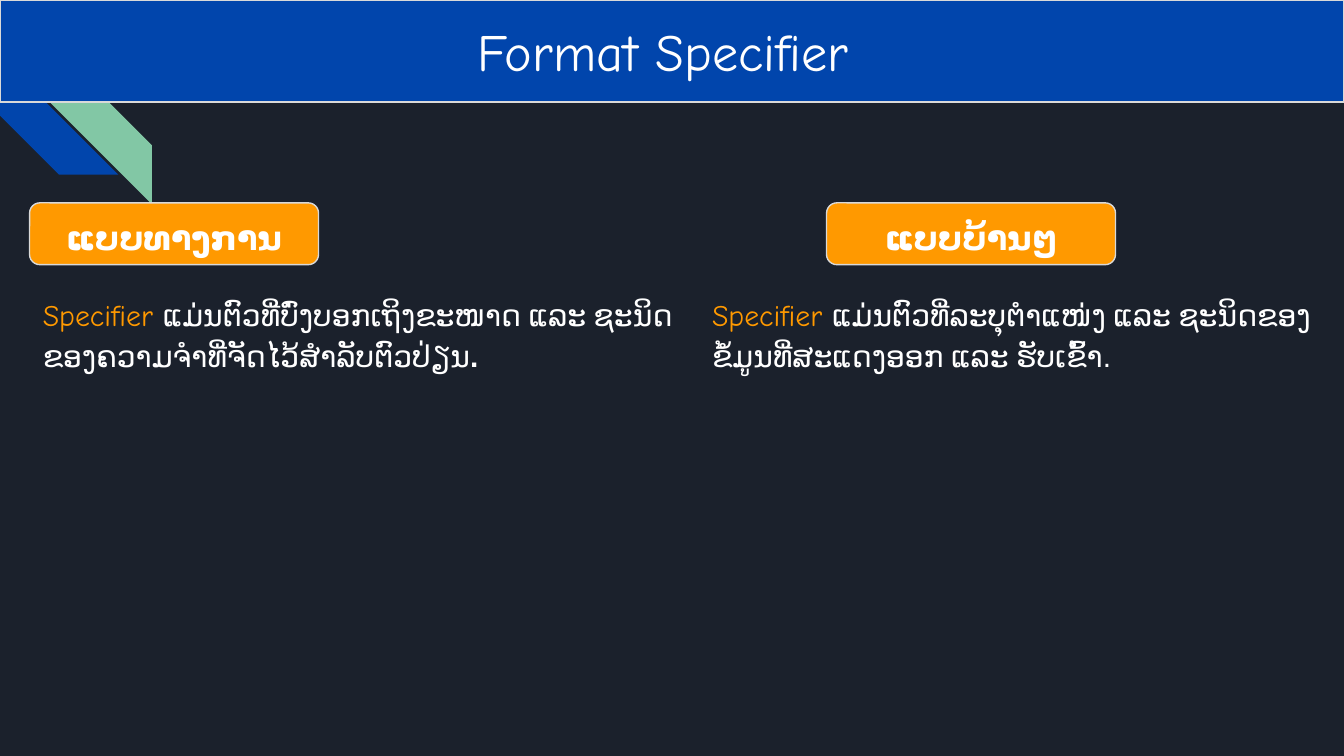
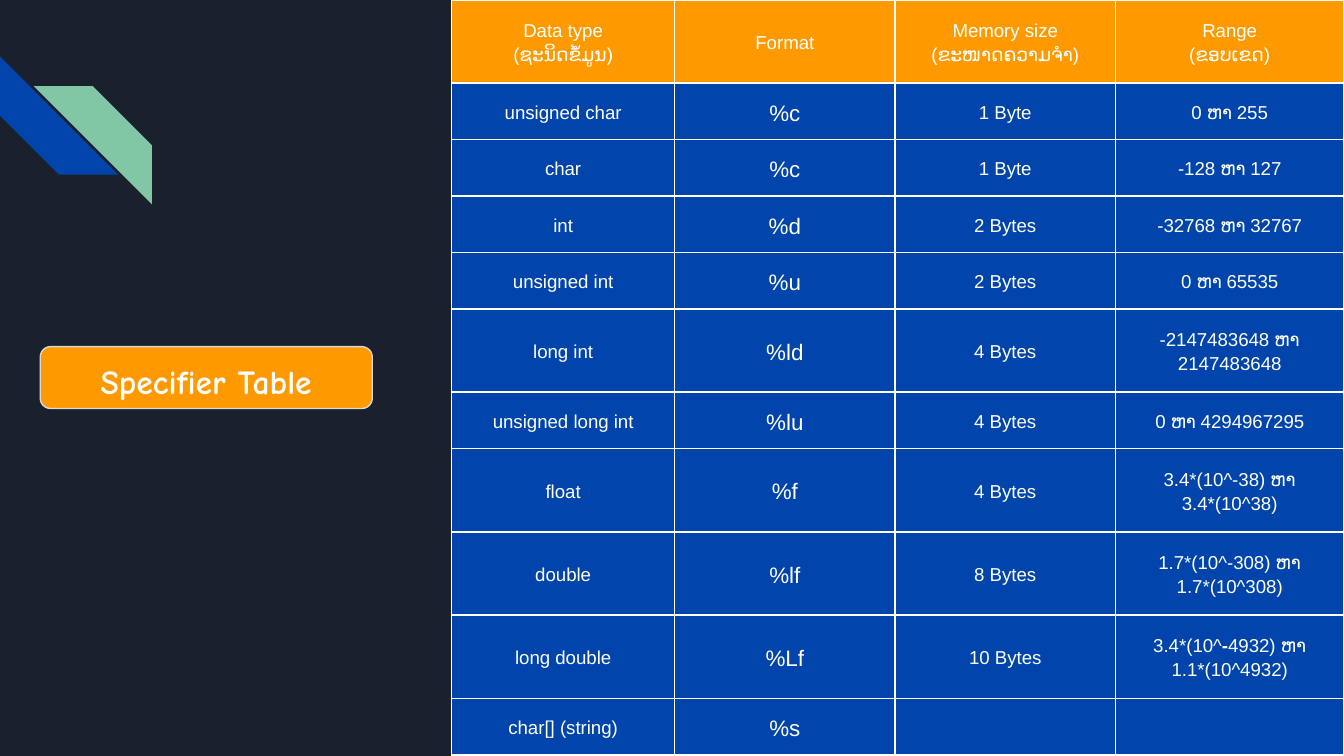
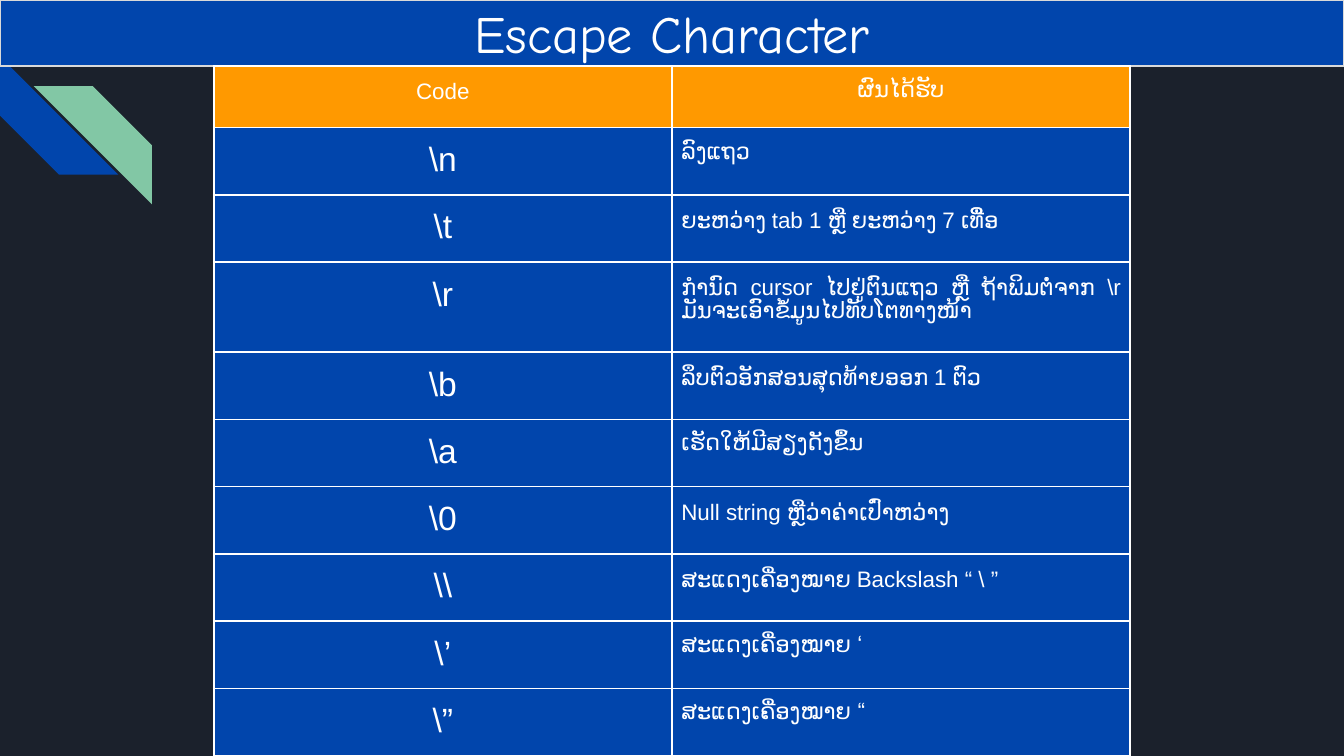
import dataclasses
from typing import Optional

import lxml.etree
import pptx
import pptx.dml.color
import pptx.enum.shapes
import pptx.enum.text
import pptx.oxml.ns
import pptx.util

Inches = pptx.util.Inches
Pt = pptx.util.Pt
ALIGN = pptx.enum.text.PP_ALIGN
ANCHOR = pptx.enum.text.MSO_ANCHOR
SHAPE = pptx.enum.shapes.MSO_SHAPE
qn = pptx.oxml.ns.qn


@dataclasses.dataclass(frozen=True)
class Theme:
    night: str = "1B212C"
    blue: str = "0145AC"
    green: str = "82C7A5"
    orange: str = "FF9900"
    outline: str = "D9D9D9"
    white: str = "FFFFFF"
    display: str = "Comic Neue"
    body: str = "Arial"
    title_size: int = 28
    label_size: int = 18
    text_size: int = 16
    code_size: int = 18
    cell_size: int = 12
    small_size: int = 10
    spacing: float = 1.15


THEME = Theme()


@dataclasses.dataclass(frozen=True)
class Span:
    """A piece of a line that differs from the rest of its paragraph."""
    text: str
    bold: Optional[bool] = None
    color: Optional[str] = None
    font: Optional[str] = None


def rgb(value):
    return pptx.dml.color.RGBColor.from_string(value)


def paint(target, color):
    target.fill.solid()
    target.fill.fore_color.rgb = rgb(color)


def write(frame, lines, size, font=THEME.body, bold=False, align=ALIGN.LEFT, spacing=None):
    """Fill a text frame; a line is a string or a tuple of Spans."""
    frame.word_wrap = True
    for index, line in enumerate(lines):
        para = frame.add_paragraph() if index else frame.paragraphs[0]
        para.alignment = align
        if spacing:
            para.line_spacing = spacing
        para.font.size = Pt(size)
        para.font.name = font
        para.font.bold = bold
        para.font.color.rgb = rgb(THEME.white)
        for span in (Span(line),) if isinstance(line, str) else line:
            run = para.add_run()
            run.text = span.text
            if span.bold is not None:
                run.font.bold = span.bold
            if span.color:
                run.font.color.rgb = rgb(span.color)
            if span.font:
                run.font.name = span.font


def set_insets(box, side, vertical):
    """Set the margins of a text frame or a table cell."""
    box.margin_left = box.margin_right = Inches(side)
    box.margin_top = box.margin_bottom = Inches(vertical)


def add_block(page, kind, box, color, outline=None):
    block = page.shapes.add_shape(kind, *map(Inches, box))
    block.shadow.inherit = False
    paint(block, color)
    set_insets(block.text_frame, 0.1, 0.1)
    block.text_frame.vertical_anchor = ANCHOR.MIDDLE
    if outline:
        block.line.color.rgb = rgb(outline)
        block.line.width = Pt(0.75)
    else:
        block.line.fill.background()
    return block


def add_page(deck):
    """Dark page with the pair of corner stripes."""
    page = deck.slides.add_slide(deck.slide_layouts[6])
    paint(page.background, THEME.night)
    blue_stripe = add_block(page, SHAPE.DIAGONAL_STRIPE, (0, 0.42, 0.88, 0.88), THEME.blue)
    blue_stripe.rotation = 270
    green_stripe = add_block(page, SHAPE.DIAGONAL_STRIPE, (0.25, 0.64, 0.88, 0.88), THEME.green)
    green_stripe.element.spPr.find(qn("a:xfrm")).set("flipH", "1")
    return page


def add_title_band(page, title, height):
    band = add_block(page, SHAPE.RECTANGLE, (0, 0, 10, height), THEME.blue, THEME.outline)
    write(band.text_frame, [title], THEME.title_size, THEME.display, align=ALIGN.CENTER)


def add_label(page, text, left, top, width):
    label = add_block(page, SHAPE.ROUNDED_RECTANGLE, (left, top, width, 0.46),
                      THEME.orange, THEME.outline)
    write(label.text_frame, [text], THEME.label_size, THEME.display, True,
          ALIGN.CENTER, THEME.spacing)


def add_definition(page, left, spans):
    """Paragraph that opens with the highlighted term."""
    box = page.shapes.add_textbox(*map(Inches, (left, 2.12, 4.98, 1.2)))
    set_insets(box.text_frame, 0.1, 0.05)
    term = Span("Specifier ", color=THEME.orange, font=THEME.display)
    write(box.text_frame, [(term, *spans)], THEME.text_size, spacing=THEME.spacing)


def set_borders(cell):
    properties = cell._tc.get_or_add_tcPr()
    for side in ("a:lnL", "a:lnR", "a:lnT", "a:lnB"):
        line = lxml.etree.SubElement(properties, qn(side), w=str(Pt(1)))
        fill = lxml.etree.SubElement(line, qn("a:solidFill"))
        lxml.etree.SubElement(fill, qn("a:srgbClr"), val=THEME.white)


def add_grid(page, left, top, widths, heights, rows, sizes, header_size,
             aligns, anchor, inset, spacing=None):
    """Table with an orange header; sizes and aligns are given per column."""
    frame = page.shapes.add_table(len(rows), len(widths), Inches(left), Inches(top),
                                  Inches(sum(widths)), Inches(sum(heights)))
    table = frame.table
    table.first_row = table.horz_banding = False
    for column, width in zip(table.columns, widths):
        column.width = Inches(width)
    for row_index, (height, row) in enumerate(zip(heights, rows)):
        table.rows[row_index].height = Inches(height)
        header = row_index == 0
        for column_index, lines in enumerate(row):
            cell = table.cell(row_index, column_index)
            set_borders(cell)
            paint(cell, THEME.orange if header else THEME.blue)
            set_insets(cell, 0.07, inset)
            cell.vertical_anchor = anchor
            size = header_size if header else sizes[column_index]
            if lines:
                write(cell.text_frame, [lines] if isinstance(lines, str) else lines, size,
                      align=ALIGN.CENTER if header else aligns[column_index], spacing=spacing)
            else:
                # Keeps an empty cell from stretching its row
                lxml.etree.SubElement(cell.text_frame.paragraphs[0]._p,
                                      qn("a:endParaRPr"), sz=str(size * 100))


def build_definitions(deck):
    page = add_page(deck)
    add_title_band(page, "Format Specifier ", 0.76)
    columns = [
        (0.22, 0.22, "ແບບທາງການ",
         [Span("ແມ່ນຕົວທີ່ບົ່ງບອກເຖິງຂະໜາດ ແລະ ຊະນິດຂອງຄວາມຈຳທີ່ຈັດໄວ້ສຳລັບຕົວປ່ຽນ"),
          Span(".", bold=True)]),
        (6.15, 5.2, "ແບບບ້ານໆ",
         [Span("ແມ່ນຕົວທີ່ລະບຸຕຳແໜ່ງ ແລະ ຊະນິດຂອງຂໍ້ມູນທີ່ສະແດງອອກ ແລະ ຮັບເຂົ້າ.")]),
    ]
    for label_left, text_left, label, spans in columns:
        add_label(page, label, label_left, 1.51, 2.15)
        add_definition(page, text_left, spans)


def build_specifiers(deck):
    page = add_page(deck)
    long_double = (Span("3.4*(10^"), Span("-", bold=True), Span("4932) ຫາ 1.1*(10^4932)"))
    rows = [
        (["Data type", "(ຊະນິດຂໍ້ມູນ)"], "Format",
         ["Memory size", "(ຂະໜາດຄວາມຈຳ)"], ["Range", "(ຂອບເຂດ)"]),
        ("unsigned char", "%c", "1 Byte", "0 ຫາ 255"),
        ("char", "%c", "1 Byte", "-128 ຫາ 127"),
        ("int", "%d", "2 Bytes", "-32768 ຫາ 32767"),
        ("unsigned int", "%u", "2 Bytes", "0 ຫາ 65535"),
        ("long int", "%ld", "4 Bytes", "-2147483648 ຫາ 2147483648"),
        ("unsigned long int", "%lu", "4 Bytes", "0 ຫາ 4294967295"),
        ("float", "%f", "4 Bytes", "3.4*(10^-38) ຫາ 3.4*(10^38)"),
        ("double", "%lf", "8 Bytes", "1.7*(10^-308) ຫາ 1.7*(10^308)"),
        ("long double", "%Lf", "10 Bytes", [long_double]),
        ("char[] (string)", "%s", "", ""),
    ]
    two_line_rows = {0, 5, 7, 8, 9}
    heights = [0.62 if index in two_line_rows else 0.42 for index in range(len(rows))]
    small = THEME.small_size
    add_grid(page, 3.36, 0, (1.66, 1.64, 1.64, 1.7), heights, rows,
             (small, THEME.cell_size, small, small), small,
             [ALIGN.CENTER] * 4, ANCHOR.MIDDLE, 0.09, THEME.spacing)
    add_label(page, "Specifier Table", 0.3, 2.58, 2.47)


def build_escapes(deck):
    page = add_page(deck)
    add_title_band(page, "Escape Character", 0.49)
    rows = [
        ("Code", "ຜົນໄດ້ຮັບ"),
        ("\\n", "ລົງແຖວ"),
        ("\\t", "ຍະຫວ່າງ tab 1 ຫຼື ຍະຫວ່າງ 7 ເທື່ືອ"),
        ("\\r", "ກຳນົດ cursor ໄປຢູ່ຕົນແຖວ ຫຼື ຖ້າພິມຕໍ່ຈາກ \\r ມັນຈະເອົາຂໍ້ມູນໄປທັບໂຕທາງໜ້າ"),
        ("\\b", "ລຶບຕົວອັກສອນສຸດທ້າຍອອກ 1 ຕົວ"),
        ("\\a", "ເຮັດໃຫ້ມີສຽງດັງຂຶ້ນ"),
        ("\\0", "Null string ຫຼືວ່າຄ່າເປົ່າຫວ່າງ"),
        ("\\\\", "ສະແດງເຄື່ອງໝາຍ Backslash “ \\ ”"),
        ("\\’", "ສະແດງເຄື່ອງໝາຍ ‘"),
        ("\\”", "ສະແດງເຄື່ອງໝາຍ “"),
    ]
    heights = [0.46, 0.5, 0.5, 0.67] + [0.5] * 6
    add_grid(page, 1.59, 0.49, (3.41, 3.41), heights, rows,
             (THEME.code_size, THEME.cell_size), THEME.cell_size,
             (ALIGN.CENTER, ALIGN.JUSTIFY), ANCHOR.TOP, 0.1)


def main():
    deck = pptx.Presentation()
    # Widescreen page, 16 to 9
    deck.slide_width = Inches(10)
    deck.slide_height = deck.slide_width * 9 // 16
    build_definitions(deck)
    build_specifiers(deck)
    build_escapes(deck)
    deck.save("out.pptx")


if __name__ == "__main__":
    main()
